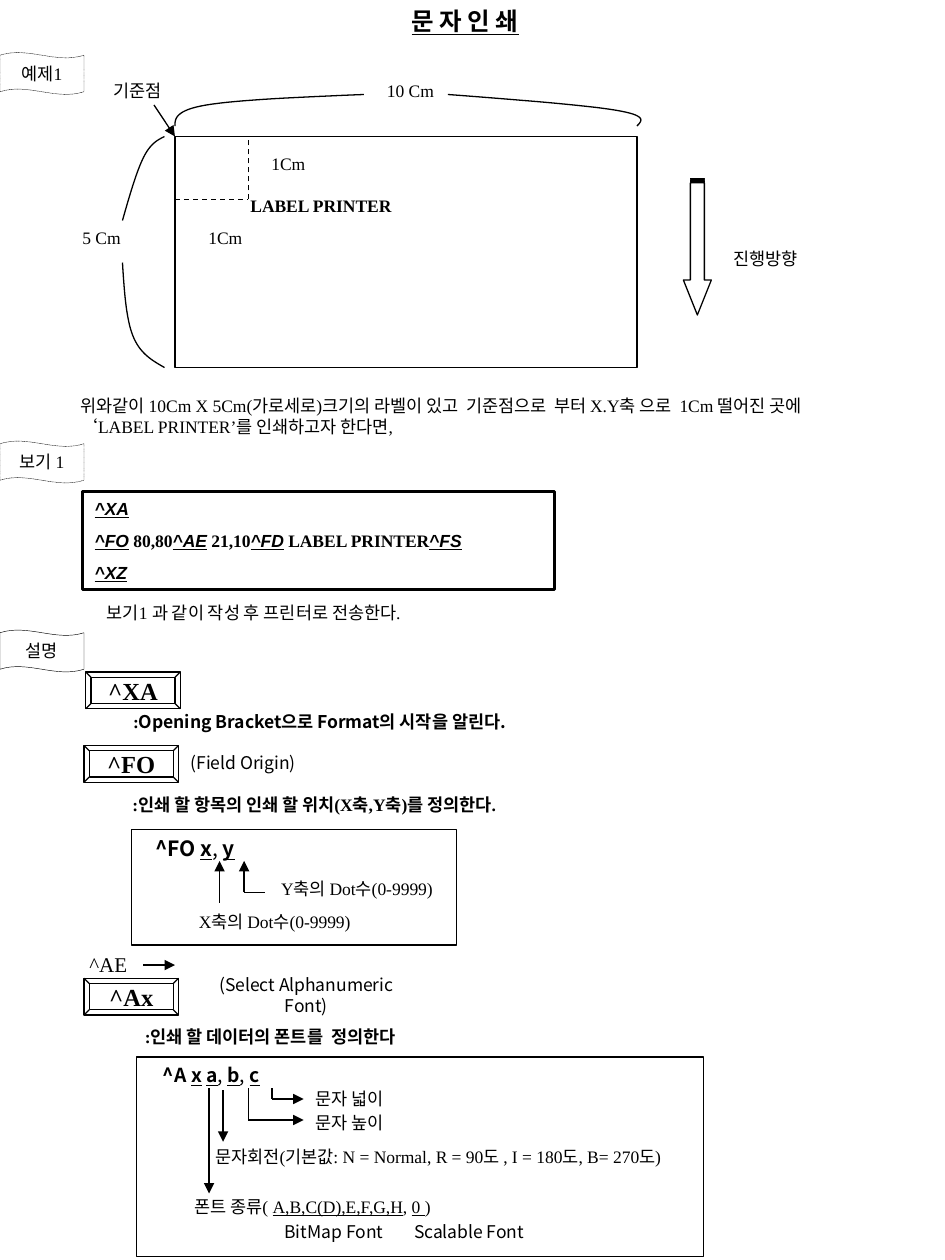
from dataclasses import dataclass

from lxml import etree
from pptx import Presentation
from pptx.dml.color import RGBColor
from pptx.enum.dml import MSO_LINE
from pptx.enum.shapes import MSO_CONNECTOR, MSO_SHAPE
from pptx.enum.text import MSO_ANCHOR, MSO_AUTO_SIZE, PP_ALIGN
from pptx.oxml.ns import qn
from pptx.util import Pt

BLACK = RGBColor(0, 0, 0)
WHITE = RGBColor(255, 255, 255)
RECT, BEVEL, WAVE = MSO_SHAPE.RECTANGLE, MSO_SHAPE.BEVEL, MSO_SHAPE.WAVE
ARROW = MSO_SHAPE.STRIPED_RIGHT_ARROW
STRAIGHT = MSO_CONNECTOR.STRAIGHT
DASH, DOTS = MSO_LINE.DASH, MSO_LINE.ROUND_DOT
LEFT, CENTER = PP_ALIGN.LEFT, PP_ALIGN.CENTER
TOP, MIDDLE = MSO_ANCHOR.TOP, MSO_ANCHOR.MIDDLE
FIXED = MSO_AUTO_SIZE.NONE
TIMES, SANS, ARIAL = "Times New Roman", "Noto Sans CJK KR", "Arial"


@dataclass
class Run:
    text: str
    font: str = TIMES
    size: float = 10
    bold: bool = False
    under: bool = False
    slant: bool = False


@dataclass
class Label:
    x: float
    y: float
    w: float
    runs: list[Run]
    h: float = 19.5
    align: PP_ALIGN = LEFT
    anchor: MSO_ANCHOR = TOP
    wrap: bool = True


@dataclass
class Line:
    x1: float
    y1: float
    x2: float
    y2: float
    head: bool = True
    dash: bool = False


def write(shape, rows: list[list[Run]], align=LEFT, anchor=TOP, wrap=True, gap=6.2) -> None:
    frame = shape.text_frame
    frame.auto_size = FIXED
    frame.word_wrap = wrap
    frame.vertical_anchor = anchor
    for i, row in enumerate(rows):
        para = frame.paragraphs[0] if i == 0 else frame.add_paragraph()
        para.alignment = align
        para.space_before = Pt(gap)
        for item in row:
            run = para.add_run()
            run.text = item.text
            font = run.font
            font.name, font.size = item.font, Pt(item.size)
            font.bold, font.italic, font.underline = item.bold, item.slant, item.under
            font.color.rgb = BLACK


def place(shape, x: float, y: float, w: float, h: float) -> None:
    shape.left, shape.top, shape.width, shape.height = Pt(x), Pt(y), Pt(w), Pt(h)


def draw_label(shapes, label: Label) -> None:
    box = shapes.add_textbox(Pt(label.x), Pt(label.y), Pt(label.w), Pt(label.h))
    write(box, [label.runs], label.align, label.anchor, label.wrap)


def outline(shape, width: float, fill: RGBColor | None = None) -> None:
    shape.shadow.inherit = False
    if fill is None:
        shape.fill.background()
    else:
        shape.fill.solid()
        shape.fill.fore_color.rgb = fill
    shape.line.color.rgb = BLACK
    shape.line.width = Pt(width)


def draw_shape(shapes, kind, x: float, y: float, w: float, h: float, width=0.75, fill=None):
    shape = shapes.add_shape(kind, Pt(x), Pt(y), Pt(w), Pt(h))
    outline(shape, width, fill)
    return shape


def draw_line(shapes, line: Line) -> None:
    link = shapes.add_connector(STRAIGHT, Pt(line.x1), Pt(line.y1), Pt(line.x2), Pt(line.y2))
    link.line.color.rgb = BLACK
    link.line.width = Pt(0.75)
    if line.dash:
        link.line.dash_style = DASH
    props = link._element.spPr
    if line.head:
        etree.SubElement(props.find(qn("a:ln")), qn("a:tailEnd"), type="triangle")
    etree.SubElement(props, qn("a:effectLst"))


def draw_curve(shapes, knots: list[tuple[float, float]], steps: int = 16) -> None:
    """Draw joined cubic curves: a start, then two controls and an end for each."""
    points = []
    for k in range(0, len(knots) - 1, 3):
        for i in range(1, steps + 1):
            t = i / steps
            parts = ((1 - t) ** 3, 3 * t * (1 - t) ** 2, 3 * t * t * (1 - t), t ** 3)
            pairs = list(zip(parts, knots[k:k + 4]))
            points.append(tuple(Pt(sum(p * knot[n] for p, knot in pairs)) for n in (0, 1)))
    pen = shapes.build_freeform(Pt(knots[0][0]), Pt(knots[0][1]))
    pen.add_line_segments(points, close=False)
    outline(pen.convert_to_shape(), 0.75)


def code(text: str) -> Run:
    return Run(text, ARIAL, bold=True, under=True, slant=True)


def bold(text: str) -> Run:
    return Run(text, bold=True)


def syntax(head: str, size: float, *names: str) -> list[Run]:
    """A command name and its underlined arguments, parted by commas."""
    runs = [Run(head, SANS, size, True)]
    for i, name in enumerate(names):
        if i:
            runs.append(Run(", ", SANS, size))
        runs.append(Run(name, SANS, size, True, True))
    return runs


FONT = syntax("^A ", 11, "x", "a", "b", "c")
FONT[2].text = " "

LABELS = [
    # Label sketch
    Label(412, 138, 78, [Run("진행방향")]),
    Label(136, 108, 132, [bold("LABEL PRINTER")]),
    Label(40, 126, 48, [Run("5 Cm")]),
    Label(214, 42, 48, [Run("10 Cm")]),
    Label(58, 42, 54, [Run("기준점")]),
    Label(112, 126, 36, [Run("1Cm")]),
    Label(148, 84, 36, [Run("1Cm")]),
    # Prose
    Label(39, 222, 444, [Run("위와같이 10Cm X 5Cm(가로세로)크기의 라벨이 있고  기준점으로  부터 X.Y축 으로  "
                             "1Cm 떨어진 곳에 ‘LABEL PRINTER’를 인쇄하고자 한다면,")], 32),
    Label(54, 340.5, 282, [Run("보기1 과 같이 작성 후 프린터로 전송한다.")]),
    Label(69, 402.5, 276, [bold(":"), Run("Opening Bracket으로 Format의 시작을 알린다.", SANS, bold=True)]),
    # Field origin
    Label(101.5, 426, 75, [Run("(Field Origin)", SANS)], align=CENTER, anchor=MIDDLE, wrap=False),
    Label(68.5, 450, 264, [bold(":인쇄 할 항목의 인쇄 할 위치(X축,Y축)를 정의한다.")]),
    Label(81.5, 474, 126, syntax("^FO ", 12, "x", "y"), 21.5),
    Label(153.5, 498, 120, [Run("Y축의 Dot수(0-9999)")]),
    Label(106.5, 517, 120, [Run("X축의 Dot수(0-9999)")]),
    # Font choice
    Label(44, 540, 58, [Run("^AE", size=12)], 21.5),
    Label(105, 559, 140, [Run("(Select Alphanumeric Font)", SANS)], align=CENTER, anchor=MIDDLE),
    Label(70.5, 582.5, 165, [bold(" :인쇄 할 데이터의 폰트를  정의한다")],
          align=CENTER, anchor=MIDDLE, wrap=False),
    Label(86, 604, 108, FONT, 21),
    Label(173, 618, 60, [Run("문자 넓이")]),
    Label(173, 632, 60, [Run("문자 높이")]),
    Label(116, 651.5, 298, [Run("문자회전(기본값: N = Normal, R = 90도 , I = 180도, B= 270도)")]),
    Label(104, 680, 342, [Run("폰트 종류( "), Run("A,B,C(D),E,F,G,H", under=True),
                          Run(", "), Run("0 ", under=True), Run(")")]),
    Label(155.5, 694, 84, [Run("BitMap Font", SANS)]),
    Label(229.5, 694, 156, [Run("Scalable Font", SANS)]),
]

LINES = [
    # Label sketch
    Line(88, 60, 100, 78),
    Line(100, 114, 142, 114, False, True), Line(142, 114, 142, 78, False, True),
    # Field origin
    Line(125.5, 516, 125.5, 492), Line(139.5, 510, 139.5, 492), Line(139.5, 510, 151.5, 510, False),
    # Font choice
    Line(82, 551.5, 100, 551.5),
    Line(119.5, 622, 119.5, 682), Line(127.5, 623, 127.5, 652.5),
    Line(142, 622, 142, 640, False), Line(142, 640, 173.5, 640),
    Line(155.5, 622, 155.5, 628, False), Line(155.5, 628, 173.5, 628),
]

BRACES = [
    [(94, 78), (90, 80), (86, 82), (82, 90), (78, 98), (74, 112), (70, 126)],
    [(94, 210), (87, 206), (80, 202), (76, 192), (72, 182), (71, 166), (70, 150)],
    [(100, 72), (100, 68), (100, 63), (118, 60), (136, 57), (172, 55.5), (208, 54)],
    [(364, 72), (367, 69), (370, 66), (352, 63), (334, 60), (295, 57), (256, 54)],
]


def main() -> None:
    deck = Presentation()
    deck.slide_width, deck.slide_height = Pt(540), Pt(720)
    shapes = deck.slides.add_slide(deck.slide_layouts[5]).shapes

    # Title
    place(shapes.title, 228, 0, 114, 24.5)
    write(shapes.title, [[Run("문 자 인 쇄", size=14, bold=True, under=True)]], gap=8.8)

    # Frames and feed arrow
    draw_shape(shapes, RECT, 100, 78, 264, 132, fill=WHITE)
    draw_shape(shapes, RECT, 75, 474, 186, 66)
    draw_shape(shapes, RECT, 78, 604, 324, 114)
    feed = draw_shape(shapes, ARROW, 359.5, 133, 78, 16, fill=WHITE)
    feed.adjustments[0], feed.adjustments[1] = 0.5, 1.25
    feed.rotation = 90

    # Sample program
    sample = draw_shape(shapes, RECT, 47, 281, 270, 56, 1.5)
    write(sample, [
        [code("^XA")],
        [code("^FO"), bold(" 80,80"), code("^AE"), bold(" 21,10"),
         code("^FD"), bold(" LABEL PRINTER"), code("^FS")],
        [code("^XZ")],
    ])

    # Section flags
    for y, text, dash in ((30, "예제1", DOTS), (252, "보기 1", DOTS), (360, "설명", None)):
        flag = draw_shape(shapes, WAVE, 0, y, 48, 24, 0.25)
        flag.adjustments[0] = 0.065
        flag.line.dash_style = dash
        write(flag, [[Run(text)]], CENTER, MIDDLE, False, 0)

    # Command keys
    for x, y, text in ((49, 384, "^XA"), (48, 426, "^FO"), (48, 559, "^Ax")):
        key = draw_shape(shapes, BEVEL, x, y, 54, 21)
        key.adjustments[0] = 0.143
        write(key, [[Run(text, size=14, bold=True)]], CENTER, MIDDLE, False, 0)

    # Braces, lines and labels
    for brace in BRACES:
        draw_curve(shapes, brace)
    for line in LINES:
        draw_line(shapes, line)
    for label in LABELS:
        draw_label(shapes, label)

    deck.save("out.pptx")


if __name__ == "__main__":
    main()
